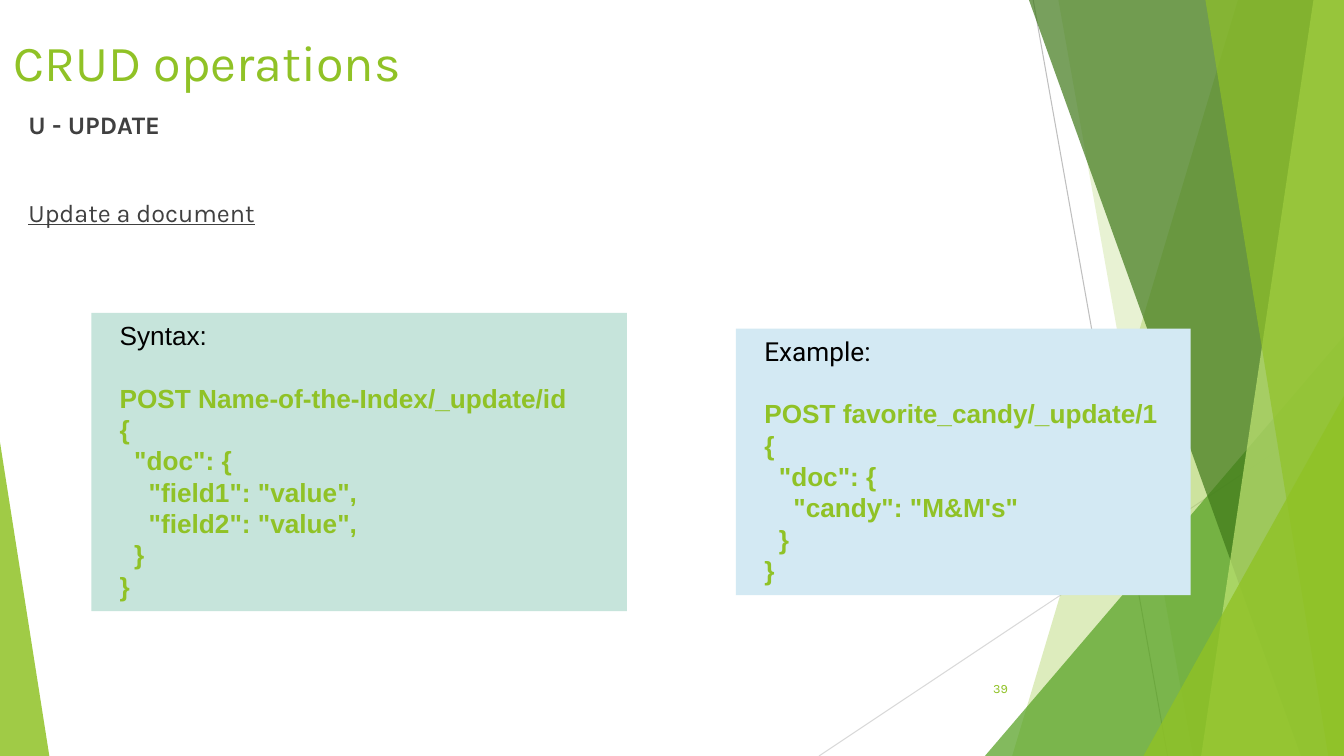
from lxml.etree import SubElement
from pptx import Presentation
from pptx.dml.color import RGBColor
from pptx.enum.shapes import MSO_CONNECTOR, MSO_SHAPE
from pptx.enum.text import MSO_ANCHOR, MSO_AUTO_SIZE, PP_ALIGN
from pptx.oxml.ns import qn
from pptx.util import Emu, Pt

PX = 9525
COLORS = {
    "lime": "90C226", "green": "54A021", "forest": "3F7819", "pale": "C0E474",
    "gray": "BFBFBF", "silver": "D9D9D9", "text": "404040", "black": "000000",
    "mint": "C6E4DB", "sky": "D3E9F3",
}
RAYS = [
    ("gray", (984, 0), (1112, 720)),
    ("silver", (1280, 387), (780, 720)),
]
FACETS = [
    ("lime", 30, [(1179, 0), (1280, 0), (1280, 720), (964, 720)]),
    ("lime", 20, [(1008, 0), (1280, 0), (1280, 720), (1136, 720)]),
    ("green", 72, (938, 320, 342, 400, 1)),
    ("forest", 70, [(980, 0), (1280, 0), (1280, 720), (1239, 720)]),
    ("pale", 70, [(1251, 0), (1280, 0), (1280, 720), (1144, 720)]),
    ("lime", 65, [(1148, 0), (1280, 0), (1280, 720), (1265, 720)]),
    ("lime", 80, (1089, 377, 191, 343, 1)),
    ("lime", 85, (0, 421, 47, 299, 0)),
]
SYNTAX = """POST Name-of-the-Index/_update/id
{
  "doc": {
    "field1": "value",
    "field2": "value",
  }
}"""
EXAMPLE = """POST favorite_candy/_update/1
{
  "doc": {
    "candy": "M&M's"
  }
}"""


def px(*lengths):
    """Turn pixel lengths into EMU."""
    return [Emu(length * PX) for length in lengths]


def rgb(name):
    """Look up a named colour."""
    return RGBColor.from_string(COLORS[name])


def apply(target, values):
    """Set every attribute in a dict of format values."""
    for name, value in values.items():
        setattr(target, name, value)


def paint(shape, color, opacity=100):
    """Give a shape a flat fill without line or shadow."""
    shape.shadow.inherit = False
    shape.line.fill.background()
    shape.fill.solid()
    shape.fill.fore_color.rgb = rgb(color)
    if opacity < 100:
        tint = shape.fill._xPr.find(qn("a:solidFill"))[0]
        SubElement(tint, qn("a:alpha"), val=str(opacity * 1000))


def set_frame(shape, side, top, anchor=MSO_ANCHOR.TOP):
    """Set the margins, anchor and wrapping of a text frame."""
    side, top = px(side, top)
    frame = shape.text_frame
    apply(frame, {
        "margin_left": side, "margin_right": side, "margin_top": top,
        "margin_bottom": top, "vertical_anchor": anchor, "word_wrap": True,
        "auto_size": MSO_AUTO_SIZE.NONE,
    })
    return frame


def write(frame, lines):
    """Write paragraphs given as text, colour, indent, paragraph and font values."""
    for index, (text, color, indent, layout, font) in enumerate(lines):
        para = frame.add_paragraph() if index else frame.paragraphs[0]
        properties = para._p.get_or_add_pPr()
        properties.set("marL", str(indent * PX))
        properties.set("indent", "0")
        SubElement(properties, qn("a:buNone"))
        apply(para, {"alignment": PP_ALIGN.LEFT, "space_before": Pt(0), **layout})
        span = para.add_run()
        span.text = text
        apply(span.font, font)
        span.font.color.rgb = rgb(color)


def draw_backdrop(page, box):
    """Draw the thin rays and translucent green facets."""
    left, top, _, _ = box
    for color, start, end in RAYS:
        points = (left + start[0], top + start[1], left + end[0], top + end[1])
        ray = page.shapes.add_connector(MSO_CONNECTOR.STRAIGHT, *px(*points))
        ray.line.color.rgb = rgb(color)
        ray.line.width = Pt(0.75)
        SubElement(ray._element.spPr, qn("a:effectLst"))
    for color, opacity, outline in FACETS:
        if isinstance(outline, list):
            corners = [(left + x, top + y) for x, y in outline]
            builder = page.shapes.build_freeform(*corners[0], scale=PX)
            builder.add_line_segments(corners[1:], close=True)
            facet = builder.convert_to_shape()
        else:
            x, y, width, height, apex = outline
            facet = page.shapes.add_shape(
                MSO_SHAPE.ISOSCELES_TRIANGLE, *px(left + x, top + y, width, height))
            facet.adjustments[0] = apex
        paint(facet, color, opacity)


def place(page, holder, box):
    """Move a placeholder into its box, in front of the backdrop."""
    apply(holder, dict(zip(("left", "top", "width", "height"), px(*box))))
    page.shapes._spTree.append(holder._element)


def fill_title(page, box):
    """Fill the title placeholder."""
    title = page.shapes.title
    place(page, title, box)
    font = {"name": "Karla", "size": Pt(36)}
    write(set_frame(title, 13, 13, MSO_ANCHOR.BOTTOM),
          [("CRUD operations", "lime", 0, {}, font)])


def fill_body(page, box):
    """Fill the body placeholder with the operation and its task."""
    body = page.placeholders[1]
    place(page, body, box)
    font = {"name": "Karla", "size": Pt(18)}
    write(set_frame(body, 13, 13), [
        ("U - UPDATE", "text", 14, {}, {**font, "bold": True}),
        ("Update a document", "text", 14, {"space_before": Pt(41.4)},
         {**font, "underline": True}),
    ])


def add_code_panel(page, box, color, heading, heading_font, code):
    """Add a coloured panel with a heading above lines of code."""
    panel = page.shapes.add_shape(MSO_SHAPE.RECTANGLE, *px(*box))
    paint(panel, color)
    step = Pt(22.4)
    layout = {"line_spacing": step}
    size = {"size": Pt(18.7)}
    lines = [(heading, "black", 14, layout, {**size, "name": heading_font})]
    for index, text in enumerate(code.splitlines()):
        gap = {"space_before": Pt(0) if index else step}
        lines.append((text, "lime", 14, {**layout, **gap},
                      {**size, "name": "Arial", "bold": True}))
    write(set_frame(panel, 13, 6), lines)


def add_page_number(page, box):
    """Add the page number at the lower right."""
    number = page.shapes.add_textbox(*px(*box))
    write(set_frame(number, 13, 13),
          [("39", "lime", 0, {"alignment": PP_ALIGN.RIGHT},
            {"name": "Karla", "size": Pt(9)})])


def main():
    """Build the slide and save it."""
    deck = Presentation()
    deck.slide_width, deck.slide_height = px(1280, 720)
    page = deck.slides.add_slide(deck.slide_layouts[1])
    draw_backdrop(page, (0, 0, 1280, 720))
    add_page_number(page, (901, 635, 72, 38))
    fill_title(page, (0, 0, 979, 100))
    fill_body(page, (0, 91, 979, 481))
    add_code_panel(page, (701, 313, 433, 254), "sky", "Example:", "Roboto", EXAMPLE)
    add_code_panel(page, (87, 298, 510, 284), "mint", "Syntax:", "Arial", SYNTAX)
    deck.save("out.pptx")


if __name__ == "__main__":
    main()
